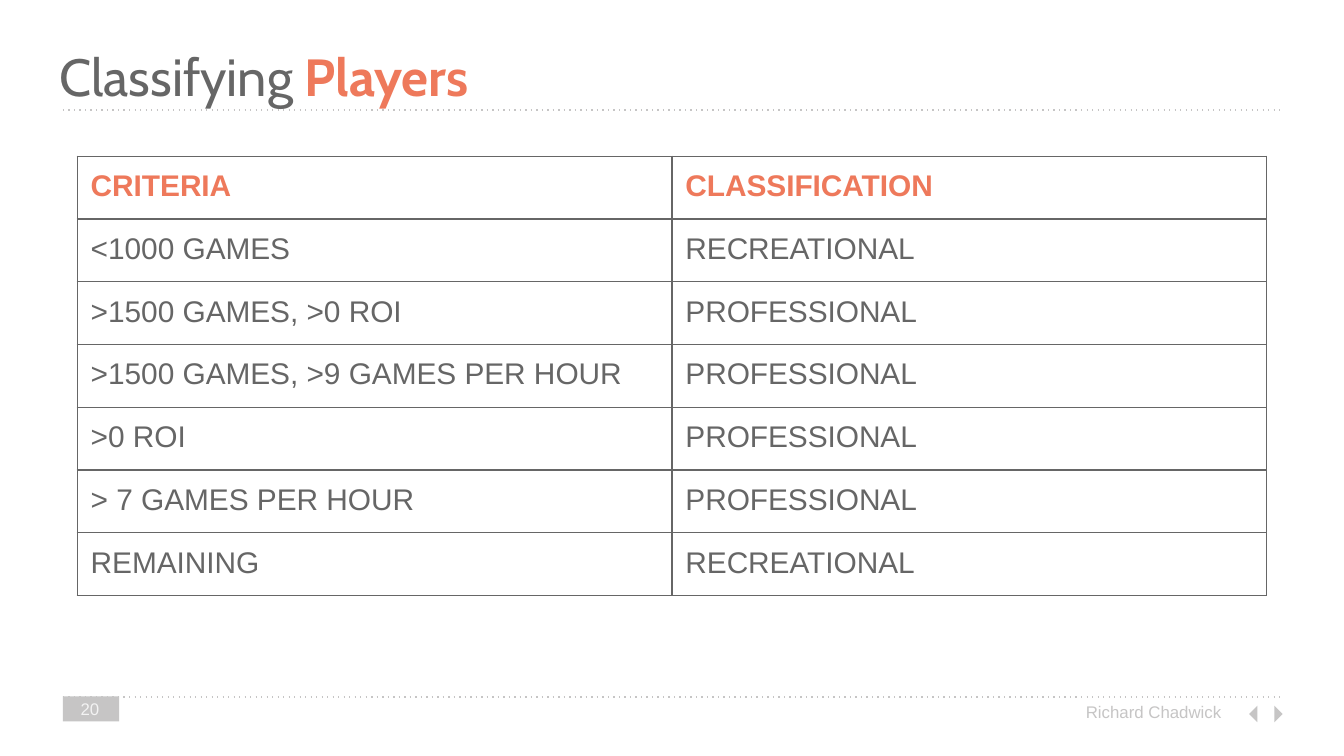
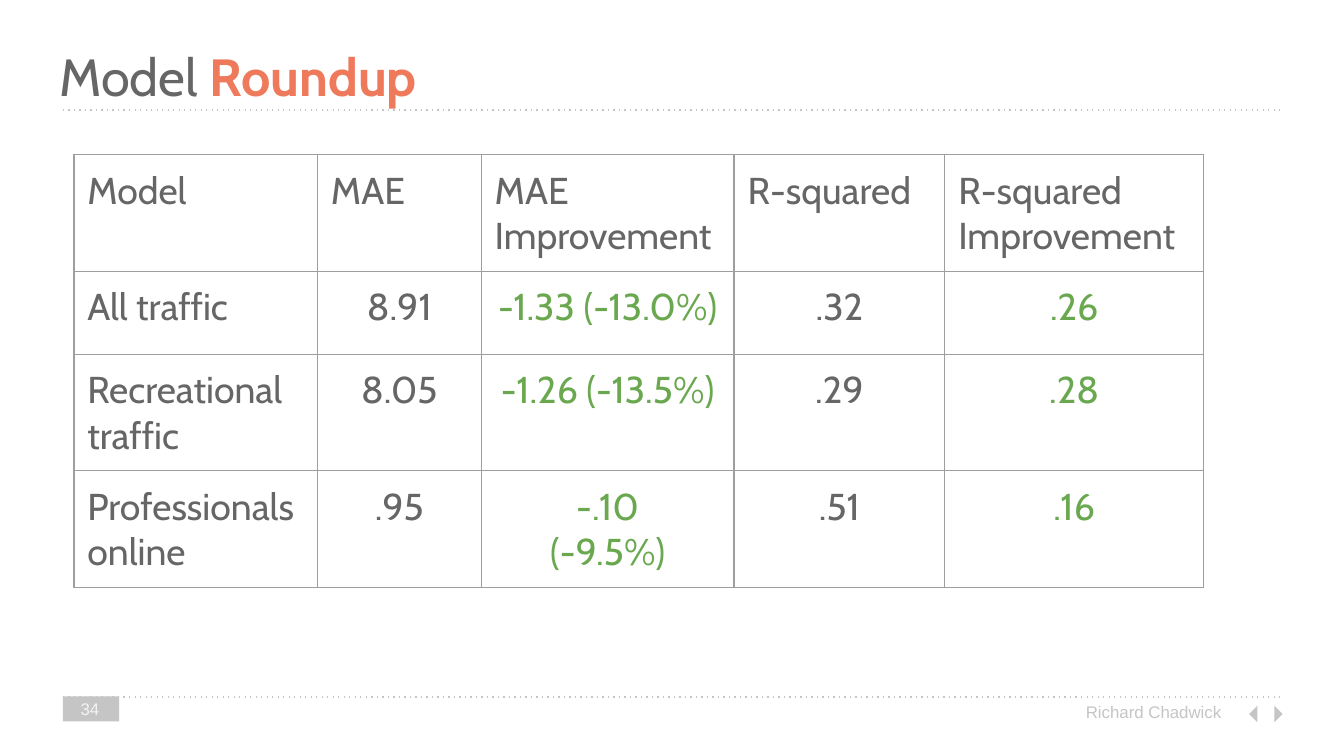
from dataclasses import dataclass
from lxml import etree
from pptx import Presentation
from pptx import util as u
from pptx.dml import color
from pptx.enum import dml, shapes, text
from pptx.oxml import ns

SCALE = 5715
GREY, ORANGE, GREEN = "666666", "EE795B", "6AA84F"
PALE, LIGHT, EDGE = "C6C5C5", "F3F3F3", "9E9E9E"
SANS, CABIN = "Arial", "Cabin"
LEFT, RIGHT, PAD, FRAME = 75, 1525, 16, 525


@dataclass
class Box:
    x: int
    y: int
    w: int
    h: int

    def emu(self) -> list:
        return [px(n) for n in (self.x, self.y, self.w, self.h)]


@dataclass
class Style:
    size: int
    font: str
    color: str
    bold: bool = False


@dataclass
class Grid:
    x: int
    y: int
    cols: list[int]
    rows: list[int]
    edge: str
    head: Style
    body: Style
    cells: list[list[str]]
    green: tuple = ()
    center: bool = False


@dataclass
class Page:
    lead: str
    key: str
    number: str
    grid: Grid


def px(n: int) -> u.Emu:
    return u.Emu(n * SCALE)


def rgb(code: str) -> color.RGBColor:
    return color.RGBColor.from_string(code)


def paint(run, style: Style) -> None:
    run.font.size = u.Pt(style.size)
    run.font.name = style.font
    run.font.bold = style.bold
    run.font.color.rgb = rgb(style.color)


def inset(item) -> None:
    item.margin_left = item.margin_right = px(PAD)
    item.margin_top = item.margin_bottom = px(PAD)


def add_text(slide, box: Box, parts: list[tuple[str, Style]],
             align=text.PP_ALIGN.LEFT, anchor=text.MSO_ANCHOR.TOP) -> None:
    frame = slide.shapes.add_textbox(*box.emu()).text_frame
    frame.word_wrap = True
    frame.vertical_anchor = anchor
    inset(frame)
    line = frame.paragraphs[0]
    line.alignment = align
    for words, style in parts:
        run = line.add_run()
        run.text = words
        paint(run, style)


def add_block(slide, kind, box: Box, turn: int = 0) -> None:
    block = slide.shapes.add_shape(kind, *box.emu())
    block.shadow.inherit = False
    block.fill.solid()
    block.fill.fore_color.rgb = rgb(PALE)
    block.line.fill.background()
    block.rotation = turn


def add_rule(slide, y: int) -> None:
    rule = slide.shapes.add_connector(
        shapes.MSO_CONNECTOR.STRAIGHT, px(LEFT), px(y), px(RIGHT), px(y))
    rule.line.color.rgb = rgb(PALE)
    rule.line.width = u.Pt(0.75)
    rule.line.dash_style = dml.MSO_LINE.ROUND_DOT
    props = rule._element.spPr
    props.find(".//" + ns.qn("a:prstDash")).set("val", "dot")
    etree.SubElement(props, ns.qn("a:effectLst"))


def add_edges(cell, code: str) -> None:
    props = cell._tc.get_or_add_tcPr()
    for spot, side in enumerate(("lnL", "lnR", "lnT", "lnB")):
        edge = etree.Element(ns.qn(f"a:{side}"), w=str(u.Pt(0.75)))
        fill = etree.SubElement(edge, ns.qn("a:solidFill"))
        etree.SubElement(fill, ns.qn("a:srgbClr"), val=code)
        props.insert(spot, edge)


def add_grid(slide, grid: Grid) -> None:
    box = Box(grid.x, grid.y, FRAME, FRAME)
    holder = slide.shapes.add_table(
        len(grid.rows), len(grid.cols), *box.emu())
    table = holder.table
    table.first_row = table.horz_banding = False
    for col, width in zip(table.columns, grid.cols):
        col.width = px(width)
    for row, height in zip(table.rows, grid.rows):
        row.height = px(height)
    holder.width = holder.height = px(FRAME)
    for r, words in enumerate(grid.cells):
        for c, word in enumerate(words):
            cell = table.cell(r, c)
            cell.fill.background()
            inset(cell)
            add_edges(cell, grid.edge)
            style = grid.body if r else grid.head
            if r and c in grid.green:
                style = Style(style.size, style.font, GREEN)
            cell.text_frame.text = word
            for line in cell.text_frame.paragraphs:
                if grid.center and r and c:
                    line.alignment = text.PP_ALIGN.CENTER
                for run in line.runs:
                    paint(run, style)


def add_frame(slide, page: Page) -> None:
    add_block(slide, shapes.MSO_SHAPE.RECTANGLE, Box(LEFT, 829, 67, 30))
    for y in (131, 830):
        add_rule(slide, y)
    for x, turn in ((1490, 45), (1510, 225)):
        add_block(slide, shapes.MSO_SHAPE.RIGHT_TRIANGLE,
                  Box(x, 843, 14, 14), turn)
    add_text(slide, Box(1277, 823, 269, 30),
             [("Richard Chadwick", Style(9, SANS, PALE))])
    add_text(slide, Box(55, 37, 1491, 82),
             [(page.lead, Style(28, CABIN, GREY)),
              (page.key, Style(28, CABIN, ORANGE, True))])
    add_text(slide, Box(LEFT, 829, 64, 30),
             [(page.number, Style(9, SANS, LIGHT))],
             text.PP_ALIGN.CENTER, text.MSO_ANCHOR.MIDDLE)


PLAIN = Style(20, CABIN, GREY)
PAGES = [
    Page("Classifying ", "Players", "20", Grid(
        92, 186, [708] * 2, [67] * 7, GREY,
        Style(16, SANS, ORANGE, True), Style(16, SANS, GREY),
        [["CRITERIA", "CLASSIFICATION"],
         ["<1000 GAMES", "RECREATIONAL"],
         [">1500 GAMES, >0 ROI", "PROFESSIONAL"],
         [">1500 GAMES, >9 GAMES PER HOUR", "PROFESSIONAL"],
         [">0 ROI", "PROFESSIONAL"],
         ["> 7 GAMES PER HOUR", "PROFESSIONAL"],
         ["REMAINING", "RECREATIONAL"]])),
    Page("Model ", "Roundup", "34", Grid(
        88, 184, [290, 195, 301, 251, 308], [102] + [99] * 3, EDGE,
        PLAIN, PLAIN,
        [["Model", "MAE", "MAE\nImprovement", "R-squared",
          "R-squared Improvement"],
         ["All traffic", "8.91", "-1.33 (-13.0%)", ".32", ".26"],
         ["Recreational traffic", "8.05", "-1.26 (-13.5%)", ".29", ".28"],
         ["Professionals online", ".95", "-.10\n(-9.5%)", ".51", ".16"]],
        green=(2, 4), center=True)),
]


def main() -> None:
    deck = Presentation()
    deck.slide_width, deck.slide_height = px(1600), px(900)
    for page in PAGES:
        slide = deck.slides.add_slide(deck.slide_layouts[6])
        add_frame(slide, page)
        add_grid(slide, page.grid)
    deck.save("out.pptx")


if __name__ == "__main__":
    main()
